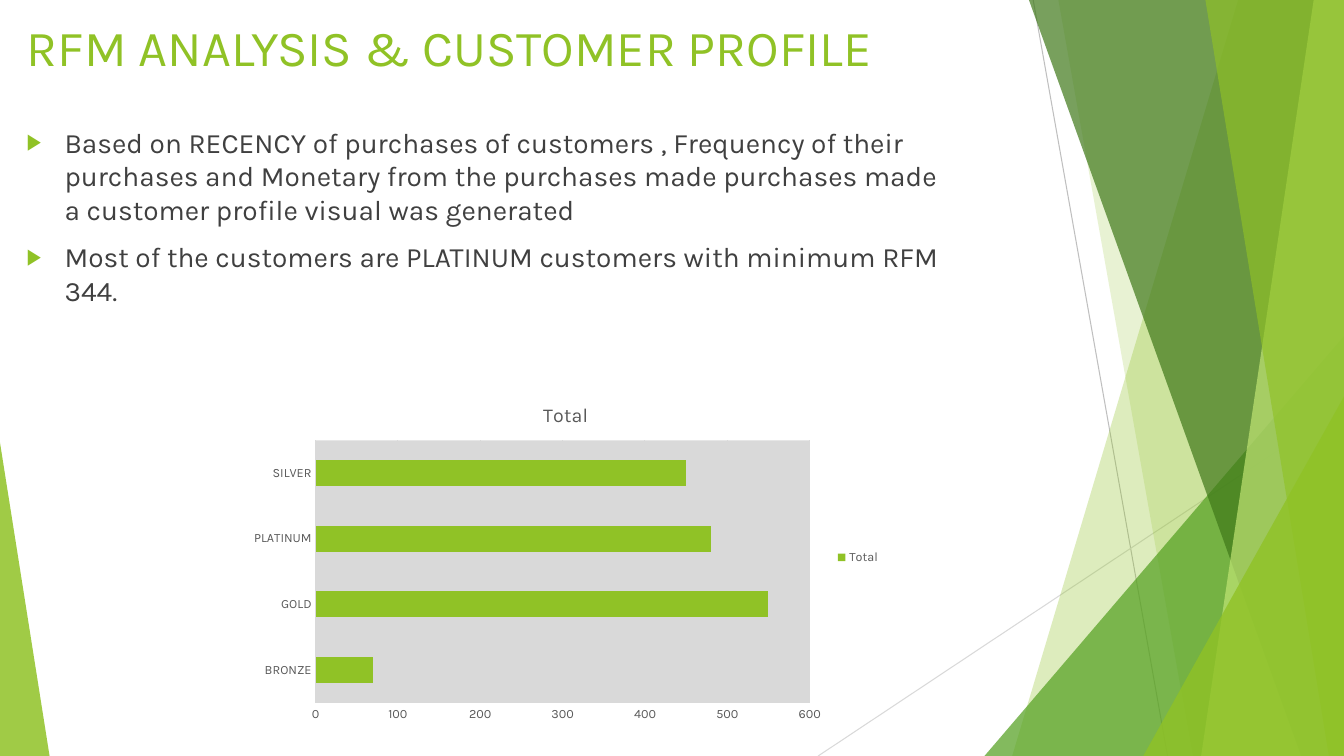
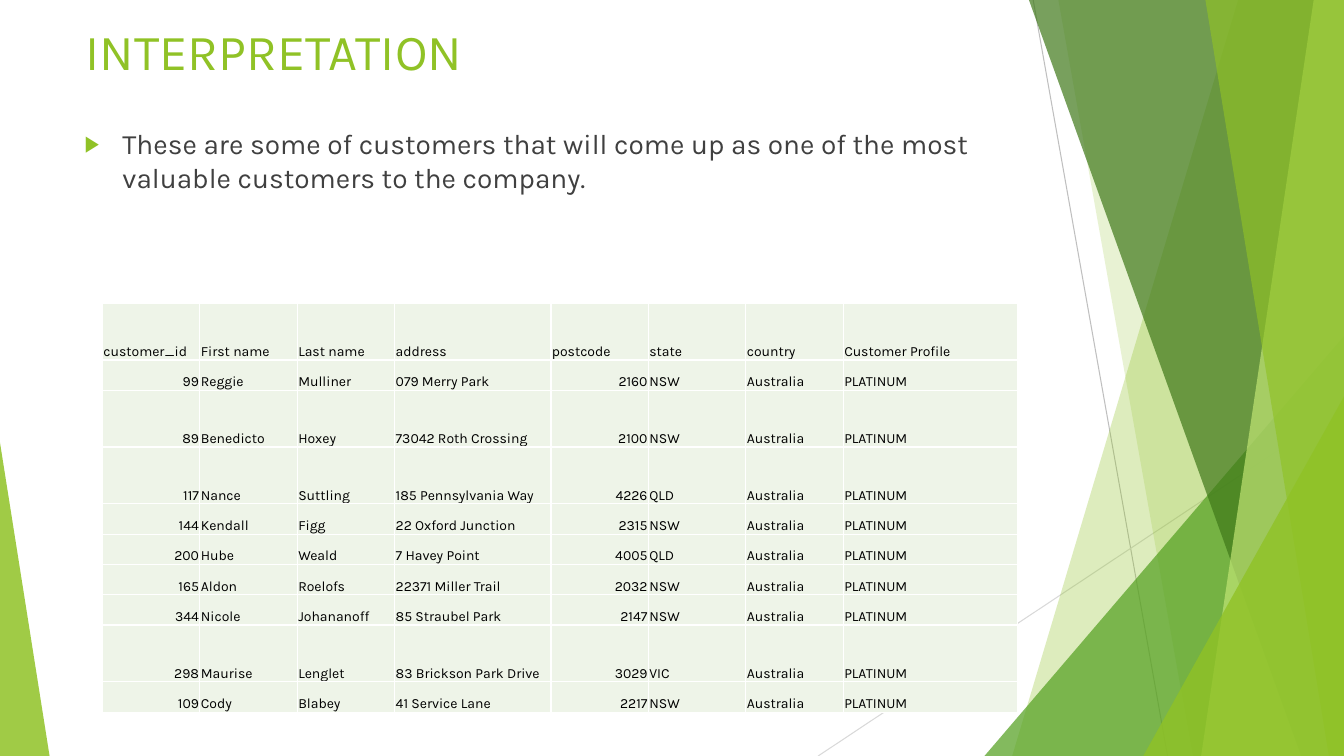
from lxml import etree
from pptx import Presentation
from pptx.chart.data import CategoryChartData
from pptx.dml.color import RGBColor
from pptx.enum.chart import XL_CHART_TYPE, XL_LEGEND_POSITION, XL_TICK_MARK
from pptx.enum.shapes import MSO_CONNECTOR, MSO_SHAPE, PP_PLACEHOLDER
from pptx.enum.text import MSO_ANCHOR, MSO_AUTO_SIZE, PP_ALIGN
from pptx.oxml import parse_xml
from pptx.oxml.ns import nsdecls, qn
from pptx.util import Emu, Inches, Pt

LEFT, RIGHT = PP_ALIGN.LEFT, PP_ALIGN.RIGHT
TOP, BOTTOM = MSO_ANCHOR.TOP, MSO_ANCHOR.BOTTOM
NO_FIT = MSO_AUTO_SIZE.NONE
STRAIGHT = MSO_CONNECTOR.STRAIGHT
TRIANGLE = MSO_SHAPE.ISOSCELES_TRIANGLE
BAR = XL_CHART_TYPE.BAR_STACKED
NO_TICK = XL_TICK_MARK.NONE

FONT = "Karla"
COLORS = {
    "lime": "90C226", "green": "54A021", "forest": "3F7819", "pale": "C0E474",
    "text": "404040", "chart": "595959", "black": "000000", "white": "FFFFFF",
    "cell": "EEF4E8", "grid": "D9D9D9", "line": "BFBFBF",
}
RGB = {name: RGBColor.from_string(value) for name, value in COLORS.items()}
COLS, ROWS = 160, 90
CELL = Inches(7.5) / ROWS


def grid(*cells):
    return [Emu(round(c * CELL)) for c in cells]


def write(p, text, size=20, color="text", align=LEFT):
    p.alignment = align
    r = p.add_run()
    r.text = text
    r.font.name = FONT
    r.font.size = Pt(size)
    r.font.bold = False
    r.font.color.rgb = RGB[color]


prs = Presentation()
prs.slide_width, prs.slide_height = grid(COLS, ROWS)
layout = prs.slide_layouts[5]
for ph in list(layout.placeholders):
    if ph.placeholder_format.type != PP_PLACEHOLDER.TITLE:
        ph.element.getparent().remove(ph.element)

pages = [
    {"title": "RFM ANALYSIS & CUSTOMER PROFILE",
     "title_box": (2, 1.3, 112, 19.8),
     "body_box": (2, 14.3, 112, 47.4),
     "bullets": [
         "Based on RECENCY of purchases of customers , Frequency of their purchases "
         "and Monetary from the purchases made purchases made a customer profile "
         "visual was generated",
         "Most of the customers are PLATINUM customers with minimum RFM 344."]},
    {"title": "INTERPRETATION",
     "title_box": (9, 1.8, 112, 19.8),
     "body_box": (8.9, 14.5, 112.8, 64.7),
     "bullets": [
         "These are some of customers that will come up as one of the most valuable "
         "customers to the company."]},
]
for page in pages:
    s = prs.slides.add_slide(layout)
    title = s.shapes.title
    title.left, title.top, title.width, title.height = grid(*page["title_box"])
    tf = title.text_frame
    tf.vertical_anchor = TOP
    tf.auto_size = NO_FIT
    write(tf.paragraphs[0], page["title"], size=36, color="lime")

    tf = s.shapes.add_textbox(*grid(*page["body_box"])).text_frame
    tf.word_wrap = True
    for i, text in enumerate(page["bullets"]):
        p = tf.add_paragraph() if i else tf.paragraphs[0]
        write(p, text)
        p.space_before = Pt(10)
        pPr = p._p.get_or_add_pPr()
        indent = grid(4.5)[0]
        pPr.set("marL", str(indent))
        pPr.set("indent", str(-indent))
        color = etree.SubElement(pPr, qn("a:buClr"))
        etree.SubElement(color, qn("a:srgbClr"), val=COLORS["lime"])
        etree.SubElement(pPr, qn("a:buSzPct"), val="80000")
        etree.SubElement(pPr, qn("a:buFont"), typeface="Arial")
        etree.SubElement(pPr, qn("a:buChar"), char="▶")

chart_slide, table_slide = prs.slides

backdrop = chart_slide.shapes.add_group_shape()
for x1, y1, x2, y2, color in [(123, 0, 139, 90, "line"), (160, 48.4, 97.4, 90, "grid")]:
    line = backdrop.shapes.add_connector(STRAIGHT, *grid(x1, y1, x2, y2))
    line.line.color.rgb = RGB[color]
    line.line.width = Pt(0.75)
    etree.SubElement(line.element.spPr, qn("a:effectLst"))

panels = [
    ("band", (147.4, 120.5), "lime", 30),
    ("band", (126, 142), "lime", 20),
    ("right", (117.2, 40, 42.8, 50), "green", 72),
    ("band", (122.5, 154.9), "forest", 70),
    ("band", (156.4, 143), "pale", 70),
    ("band", (143.5, 158.2), "lime", 65),
    ("right", (136.1, 47.2, 23.9, 42.8), "lime", 80),
    ("left", (0, 52.7, 5.9, 37.3), "lime", 85),
]
for kind, place, color, opacity in panels:
    if kind == "band":
        top_x, bottom_x, right, bottom = grid(*place, COLS, ROWS)
        outline = backdrop.shapes.build_freeform(top_x, 0)
        outline.add_line_segments([(right, 0), (right, bottom), (bottom_x, bottom)])
        sp = outline.convert_to_shape()
    else:
        sp = backdrop.shapes.add_shape(TRIANGLE, *grid(*place))
        sp.adjustments[0] = 1 if kind == "right" else 0
    sp.shadow.inherit = False
    sp.line.fill.background()
    sp.fill.solid()
    sp.fill.fore_color.rgb = RGB[color]
    tint = sp.element.xpath("./p:spPr/a:solidFill/a:srgbClr")[0]
    etree.SubElement(tint, qn("a:alpha"), val=str(opacity * 1000))
layout.shapes.element.insert(2, backdrop.element)

data = CategoryChartData()
data.categories = ["BRONZE", "GOLD", "PLATINUM", "SILVER"]
data.add_series("Total", [70, 550, 480, 450])
chart = chart_slide.shapes.add_chart(BAR, *grid(28.7, 46, 77.3, 40.7), data).chart
chart.font.name = FONT
chart.font.size = Pt(10)
chart.has_title = True
write(chart.chart_title.text_frame.paragraphs[0], "Total", size=14, color="chart",
      align=PP_ALIGN.CENTER)
chart.chart_title.include_in_layout = False
chart.has_legend = True
chart.legend.position = XL_LEGEND_POSITION.RIGHT
chart.legend.include_in_layout = False
for part in (chart.category_axis, chart.value_axis):
    part.major_tick_mark = part.minor_tick_mark = NO_TICK
    part.format.line.fill.background()
for font in (chart.legend.font, chart.category_axis.tick_labels.font,
             chart.value_axis.tick_labels.font):
    font.name = FONT
    font.size = Pt(9)
    font.color.rgb = RGB["chart"]
axis = chart.value_axis
axis.minimum_scale, axis.maximum_scale, axis.major_unit = 0, 600, 100
axis.major_gridlines.format.line.color.rgb = RGB["grid"]
axis.major_gridlines.format.line.width = Pt(0.75)
plot = chart.plots[0]
plot.gap_width, plot.overlap = 150, 100
plot.vary_by_categories = False
bars = plot.series[0].format.fill
bars.solid()
bars.fore_color.rgb = RGB["lime"]
chart.element.xpath(".//c:plotArea")[0].append(parse_xml(
    f'<c:spPr {nsdecls("c", "a")}><a:solidFill><a:srgbClr val="{COLORS["grid"]}"/>'
    '</a:solidFill></c:spPr>'))

customers = [
    ("customer_id", "First name", "Last name", "address", "postcode", "state",
     "country", "Customer Profile"),
]
for record in [
    ("99", "Reggie", "Mulliner", "079 Merry Park", "2160", "NSW"),
    ("89", "Benedicto", "Hoxey", "73042 Roth Crossing", "2100", "NSW"),
    ("117", "Nance", "Suttling", "185 Pennsylvania Way", "4226", "QLD"),
    ("144", "Kendall", "Figg", "22 Oxford Junction", "2315", "NSW"),
    ("200", "Hube", "Weald", "7 Havey Point", "4005", "QLD"),
    ("165", "Aldon", "Roelofs", "22371 Miller Trail", "2032", "NSW"),
    ("344", "Nicole", "Johananoff", "85 Straubel Park", "2147", "NSW"),
    ("298", "Maurise", "Lenglet", "83 Brickson Park Drive", "3029", "VIC"),
    ("109", "Cody", "Blabey", "41 Service Lane", "2217", "NSW"),
]:
    customers.append(record + ("Australia", "PLATINUM"))

widths = [11.6] * 3 + [18.6] + [11.6] * 3 + [20.7]
tall_rows = (0, 2, 3, 8)
heights = [6.76 if i in tall_rows else 3.61 for i in range(len(customers))]
number_columns = (0, 4)
table = table_slide.shapes.add_table(
    len(heights), len(widths), *grid(12.2, 36.1, sum(widths), sum(heights))).table
table.first_row = table.horz_banding = False
for column, width in zip(table.columns, grid(*widths)):
    column.width = width
for row, height in zip(table.rows, grid(*heights)):
    row.height = height
for i, record in enumerate(customers):
    for j, text in enumerate(record):
        cell = table.cell(i, j)
        cell.vertical_anchor = BOTTOM
        cell.margin_left = cell.margin_right = cell.margin_top = Inches(0.01)
        cell.margin_bottom = 0
        write(cell.text_frame.paragraphs[0], text, size=10, color="black",
              align=RIGHT if i and j in number_columns else LEFT)
        tcPr = cell._tc.get_or_add_tcPr()
        for side in ("lnL", "lnR", "lnT", "lnB"):
            border = etree.SubElement(tcPr, qn(f"a:{side}"), w=str(Pt(1)))
            fill = etree.SubElement(border, qn("a:solidFill"))
            etree.SubElement(fill, qn("a:srgbClr"), val=COLORS["white"])
        cell.fill.solid()
        cell.fill.fore_color.rgb = RGB["cell"]

prs.save("out.pptx")
